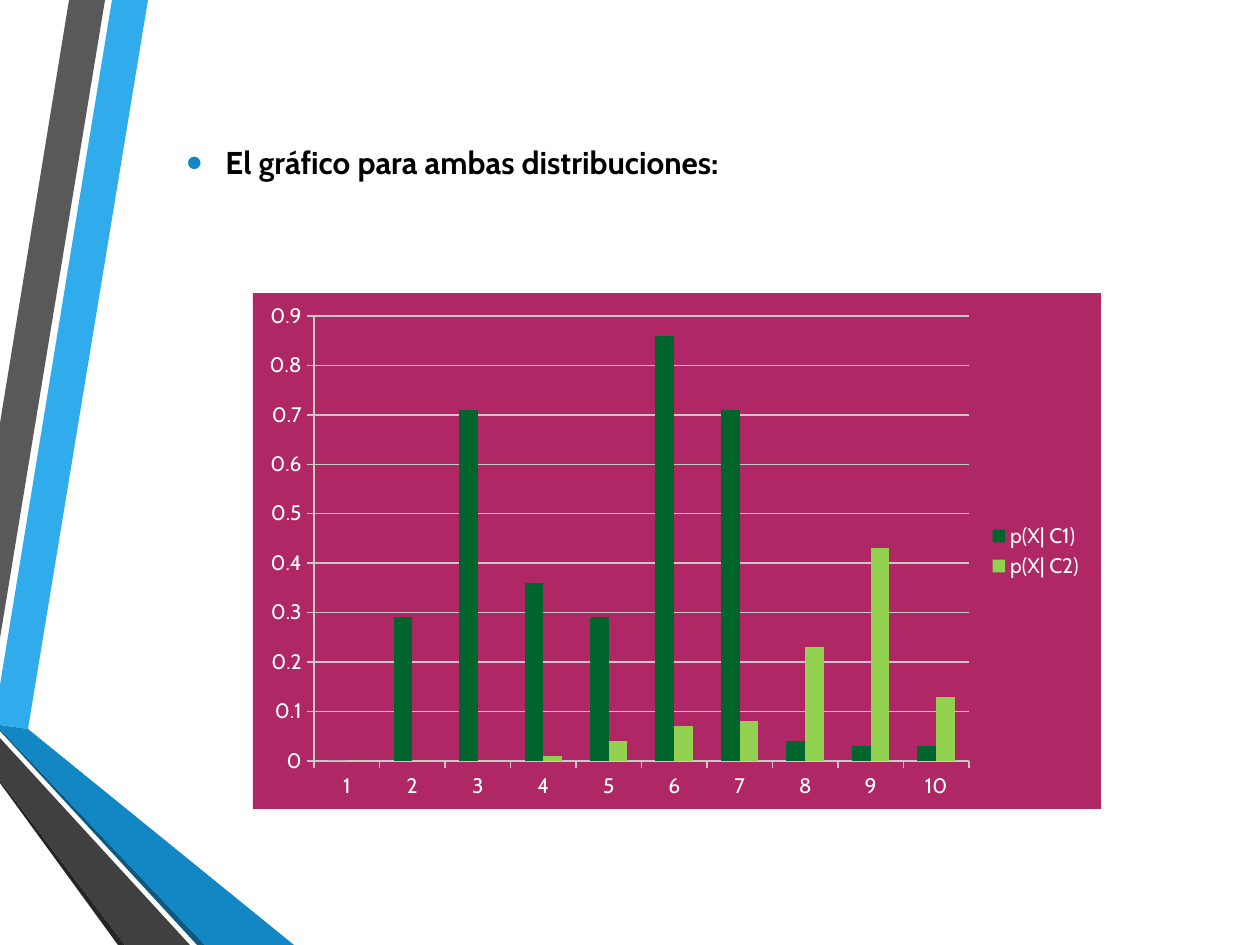
from lxml import etree
from pptx import Presentation
from pptx.chart.data import CategoryChartData
from pptx.dml.color import RGBColor
from pptx.enum.chart import XL_CHART_TYPE as CT, XL_LEGEND_POSITION as LP, XL_TICK_MARK as TM
from pptx.enum.text import MSO_ANCHOR, PP_ALIGN
from pptx.oxml import parse_xml
from pptx.oxml.ns import nsdecls, qn
from pptx.util import Pt

PX = 914400 / 126
FONT = "Cabin"
COLORS = {
    "sky": "30ACEC", "grey": "595959", "black": "262626", "navy": "0C5A82",
    "blue": "1287C3", "charcoal": "404040", "text": "000000", "white": "FFFFFF",
    "panel": "AF2764", "grid": "C8C8C8", "c1": "00642D", "c2": "92D050",
}


def px(n):
    return round(n * PX)


def rgb(name):
    return RGBColor.from_string(COLORS[name])


prs = Presentation()
prs.slide_width, prs.slide_height = px(1260), px(945)
s = prs.slides.add_slide(prs.slide_layouts[6])

# Ribbons on the left edge, back to front
ribbons = [
    ("sky", [(0, 685), (0, 725), (28, 729), (148, 0), (112, 0)]),
    ("grey", [(105, 0), (69, 0), (0, 423), (0, 638)]),
    ("black", [(0, 780), (0, 783), (118, 945), (125, 945)]),
    ("navy", [(0, 729), (0, 731), (197, 945), (205, 945)]),
    ("blue", [(0, 729), (205, 945), (294, 945), (28, 729), (0, 725)]),
    ("charcoal", [(0, 780), (125, 945), (190, 945), (0, 738)]),
]
for color, points in ribbons:
    fb = s.shapes.build_freeform(*points[0], scale=PX)
    fb.add_line_segments(points[1:], close=True)
    sp = fb.convert_to_shape()
    sp.shadow.inherit = False
    sp.fill.solid()
    sp.fill.fore_color.rgb = rgb(color)
    sp.line.fill.background()

# Bulleted heading
tf = s.shapes.add_textbox(px(174), px(135), px(1052), px(59)).text_frame
tf.word_wrap = True
tf.vertical_anchor = MSO_ANCHOR.MIDDLE
p = tf.paragraphs[0]
p.alignment = PP_ALIGN.JUSTIFY
p.line_spacing = 0.9
p.space_before, p.space_after = Pt(4), Pt(6)
pPr = p._p.get_or_add_pPr()
pPr.set("marL", str(px(39)))
pPr.set("indent", str(px(-39)))
bu_clr = etree.SubElement(pPr, qn("a:buClr"))
etree.SubElement(bu_clr, qn("a:srgbClr"), val=COLORS["blue"])
etree.SubElement(pPr, qn("a:buSzPct"), val="145000")
etree.SubElement(pPr, qn("a:buFont"), typeface="Arial")
etree.SubElement(pPr, qn("a:buChar"), char="•")
r = p.add_run()
r.text = "El gráfico para ambas distribuciones:"
r.font.name, r.font.size, r.font.bold = FONT, Pt(18), True
r.font.color.rgb = rgb("text")

# Clustered column chart
data = CategoryChartData()
data.categories = [str(n) for n in range(1, 11)]
data.add_series("p(X| C1) ", [0, 0.29, 0.71, 0.36, 0.29, 0.86, 0.71, 0.04, 0.03, 0.03])
data.add_series("p(X| C2) ", [0, 0, 0, 0.01, 0.04, 0.07, 0.08, 0.23, 0.43, 0.13])
chart = s.shapes.add_chart(CT.COLUMN_CLUSTERED, px(253), px(293), px(848), px(516), data).chart
chart.has_title = False
chart.font.name, chart.font.size = FONT, Pt(12)
chart.font.color.rgb = rgb("white")
chart.has_legend = True
chart.legend.position = LP.RIGHT
chart.legend.include_in_layout = False

plot = chart.plots[0]
plot.gap_width, plot.overlap = 150, 0
plot.vary_by_categories = False
for series, color in zip(plot.series, ("c1", "c2")):
    series.format.fill.solid()
    series.format.fill.fore_color.rgb = rgb(color)

# Axes and gridlines
va, ca = chart.value_axis, chart.category_axis
va.minimum_scale, va.maximum_scale, va.major_unit = 0, 0.9, 0.1
va.has_major_gridlines = True
va.tick_labels.number_format = "General"
va.tick_labels.number_format_is_linked = False
for axis in (va, ca):
    axis.major_tick_mark, axis.minor_tick_mark = TM.OUTSIDE, TM.NONE
for part in (va, ca, va.major_gridlines):
    part.format.line.color.rgb = rgb("grid")
    part.format.line.width = Pt(0.75)

# Plot area placement, as fractions of the chart
area = chart._chartSpace.chart.plotArea
for old in area.findall(qn("c:layout")):
    area.remove(old)
layout = etree.Element(qn("c:layout"))
manual = etree.SubElement(layout, qn("c:manualLayout"))
for tag, val in [("layoutTarget", "inner"), ("xMode", "edge"), ("yMode", "edge"),
                 ("x", 61 / 848), ("y", 23 / 516), ("w", 655 / 848), ("h", 445 / 516)]:
    etree.SubElement(manual, qn("c:" + tag), val=str(val))
area.insert(0, layout)

# Chart background
chart._chartSpace.chart.addnext(parse_xml(
    f'<c:spPr {nsdecls("c", "a")}><a:solidFill><a:srgbClr val="{COLORS["panel"]}"/>'
    '</a:solidFill><a:ln><a:noFill/></a:ln></c:spPr>'))

prs.save("out.pptx")
